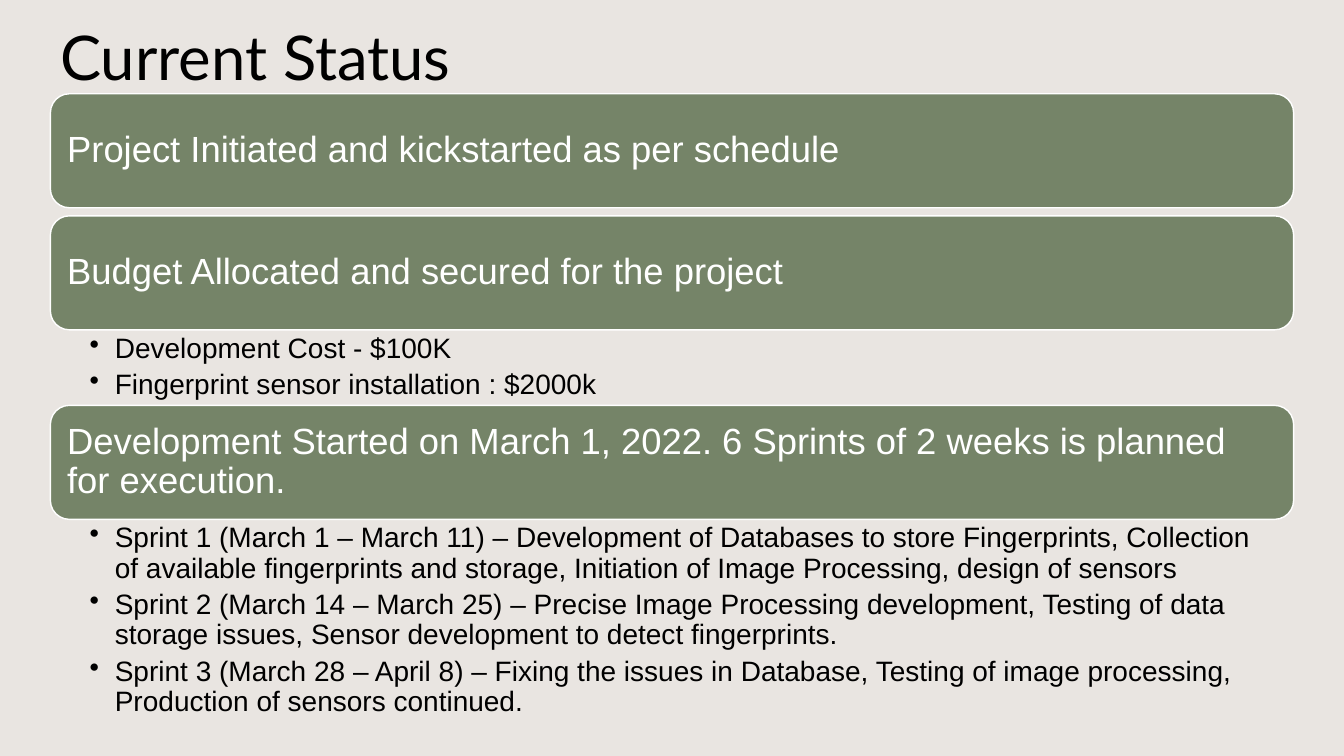
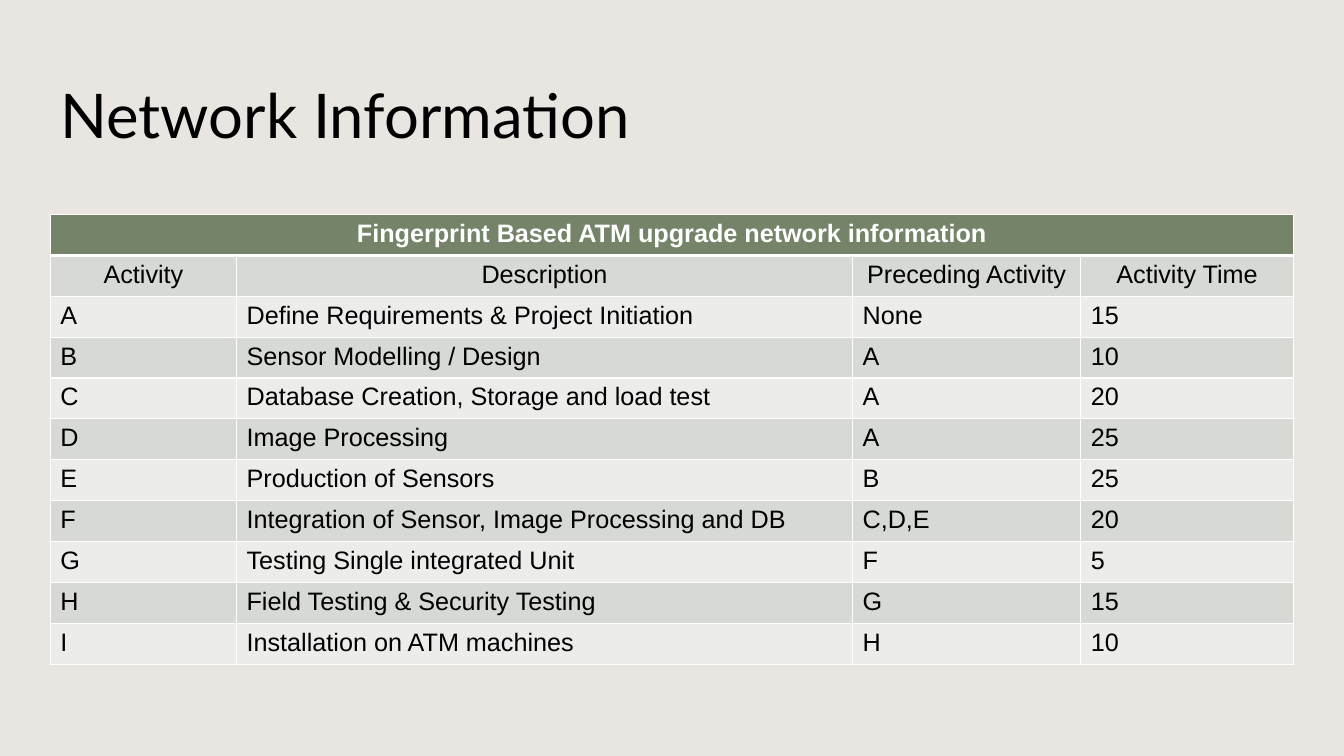
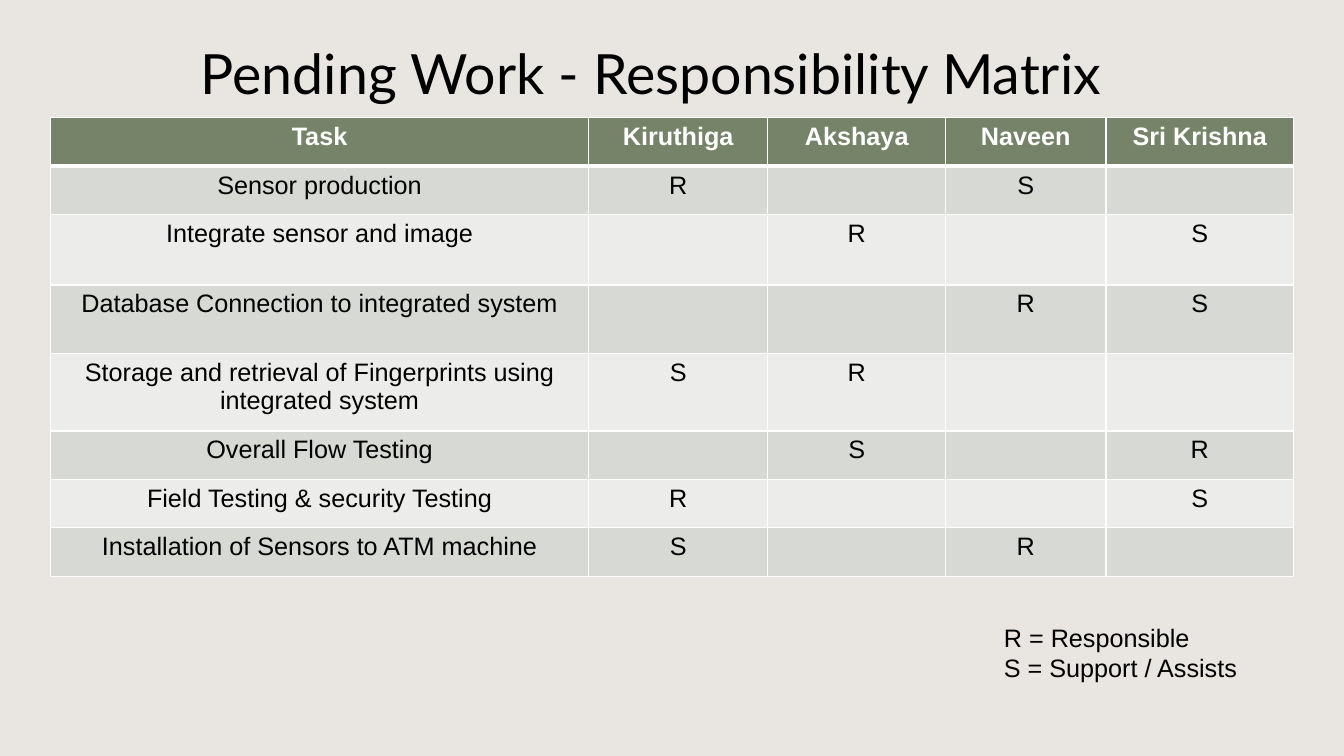
from lxml.etree import SubElement
from pptx import Presentation
from pptx.dml.color import RGBColor
from pptx.enum.shapes import MSO_SHAPE
from pptx.enum.text import MSO_ANCHOR, PP_ALIGN
from pptx.oxml import parse_xml
from pptx.oxml.ns import nsdecls, qn
from pptx.util import Pt

COLORS = {
    "background": "E9E5E1",
    "green": "758468",
    "dark_row": "D6D9D4",
    "light_row": "ECEDEB",
    "white": "FFFFFF",
    "black": "000000",
}
LEFT, WIDTH = 36, 888
TITLE_WIDTH = 858
CARD_HEIGHT = 81.4


def color(name):
    return RGBColor.from_string(COLORS[name])


def set_attributes(target, values):
    for name, value in values.items():
        setattr(target, name, value)


class Deck:
    """Holds the shared style and the slide being filled."""

    def __init__(self):
        self.presentation = Presentation()
        self.presentation.slide_width = Pt(960)
        self.presentation.slide_height = Pt(540)
        self.slide = None
        fill = self.presentation.slide_master.background.fill
        fill.solid()
        fill.fore_color.rgb = color("background")

    def add_lines(self, frame, lines, size, ink="black", font="Arial", bold=False,
                  bullet=False, **paragraph_format):
        for index, line in enumerate(lines):
            paragraph = frame.paragraphs[0] if index == 0 else frame.add_paragraph()
            set_attributes(paragraph, paragraph_format)
            run = paragraph.add_run()
            run.text = line
            set_attributes(run.font, {"name": font, "size": Pt(size), "bold": bold})
            run.font.color.rgb = color(ink)
            if bullet:
                properties = paragraph._p.get_or_add_pPr()
                properties.set("marL", str(Pt(18)))
                properties.set("indent", str(Pt(-18)))
                SubElement(properties, qn("a:buChar"), char="•")

    def text_box(self, box, lines, size, frame_format=None, **text_format):
        shape = self.slide.shapes.add_textbox(*map(Pt, box))
        set_attributes(shape.text_frame, {"word_wrap": True, **(frame_format or {})})
        self.add_lines(shape.text_frame, lines, size, **text_format)

    def new_slide(self, title, top, height, size=44, alignment=PP_ALIGN.LEFT):
        layout = self.presentation.slide_layouts[6]
        self.slide = self.presentation.slides.add_slide(layout)
        self.text_box((LEFT, top, TITLE_WIDTH, height), [title], size,
                      {"vertical_anchor": MSO_ANCHOR.MIDDLE},
                      font="Lato", alignment=alignment, line_spacing=1.0)

    def card(self, top, text):
        shape = self.slide.shapes.add_shape(
            MSO_SHAPE.ROUNDED_RECTANGLE, Pt(LEFT), Pt(top), Pt(WIDTH), Pt(CARD_HEIGHT))
        shape.shadow.inherit = False
        shape.fill.solid()
        shape.fill.fore_color.rgb = color("green")
        shape.line.color.rgb = color("white")
        shape.line.width = Pt(1)
        set_attributes(shape.text_frame, {
            "word_wrap": True, "vertical_anchor": MSO_ANCHOR.MIDDLE,
            "margin_left": Pt(8), "margin_right": Pt(8)})
        self.add_lines(shape.text_frame, [text], 26, ink="white",
                       alignment=PP_ALIGN.LEFT, line_spacing=0.9)

    def bullets(self, top, height, lines):
        margins = {"margin_left": Pt(28), "margin_right": Pt(14),
                   "margin_top": Pt(3), "margin_bottom": Pt(3)}
        self.text_box((LEFT, top, WIDTH, height), lines, 20, margins,
                      bullet=True, line_spacing=0.9, space_after=Pt(4.6))

    def borders(self, cell, row):
        widths = {"lnL": 1, "lnR": 1, "lnT": 3 if row == 1 else 1,
                  "lnB": 3 if row == 0 else 1}
        properties = cell._tc.get_or_add_tcPr()
        for position, (tag, width) in enumerate(widths.items()):
            properties.insert(position, parse_xml(
                f'<a:{tag} {nsdecls("a")} w="{Pt(width)}"><a:solidFill>'
                f'<a:srgbClr val="{COLORS["white"]}"/></a:solidFill></a:{tag}>'))

    def table(self, top, columns, heights, rows, centred_rows):
        table = self.slide.shapes.add_table(
            len(rows), len(columns), Pt(LEFT), Pt(top), Pt(WIDTH), Pt(sum(heights))).table
        for column, width in zip(table.columns, columns):
            column.width = Pt(width)
        for index, (row, height, texts) in enumerate(zip(table.rows, heights, rows)):
            row.height = Pt(height)
            header = index == 0
            fill_name = "green" if header else "dark_row" if index % 2 else "light_row"
            for cell, text in zip(row.cells, texts):
                cell.fill.solid()
                cell.fill.fore_color.rgb = color(fill_name)
                self.borders(cell, index)
                if text:
                    self.add_lines(cell.text_frame, [text], 18, bold=header,
                                   ink="white" if header else "black",
                                   alignment=PP_ALIGN.CENTER if index < centred_rows
                                   else PP_ALIGN.LEFT)
        return table


def status_slide(deck):
    deck.new_slide("Current Status", -12, 104)
    # Milestones, each followed by its details
    deck.card(67, "Project Initiated and kickstarted as per schedule")
    deck.card(154.2, "Budget Allocated and secured for the project")
    deck.bullets(235.6, 54, [
        "Development Cost - $100K",
        "Fingerprint sensor installation : $2000k",
    ])
    deck.card(289.6, "Development Started on March 1, 2022. 6 Sprints of 2 weeks "
                     "is planned for execution.")
    deck.bullets(371, 148, [
        "Sprint 1 (March 1 – March 11) – Development of Databases to store Fingerprints, "
        "Collection of available fingerprints and storage, Initiation of Image Processing, "
        "design of sensors",
        "Sprint 2 (March 14 – March 25) – Precise Image Processing development, "
        "Testing of data storage issues, Sensor development to detect fingerprints.",
        "Sprint 3 (March 28 – April 8) – Fixing the issues in Database, "
        "Testing of image processing, Production of sensors continued.",
    ])


def network_slide(deck):
    deck.new_slide("Network Information", 29, 104)
    # Activities and their order
    rows = [
        ("Fingerprint Based ATM upgrade network information", "", "", ""),
        ("Activity", "Description", "Preceding Activity", "Activity Time"),
        ("A", "Define Requirements & Project Initiation", "None", "15"),
        ("B", "Sensor Modelling / Design", "A", "10"),
        ("C", "Database Creation, Storage and load test", "A", "20"),
        ("D", "Image Processing", "A", "25"),
        ("E", "Production of Sensors", "B", "25"),
        ("F", "Integration of Sensor, Image Processing and DB", "C,D,E", "20"),
        ("G", "Testing Single integrated Unit", "F", "5"),
        ("H", "Field Testing & Security Testing", "G", "15"),
        ("I", "Installation on ATM machines", "H", "10"),
    ]
    table = deck.table(153.2, [133, 440, 163, 152], [29.2] * len(rows), rows, 2)
    table.cell(0, 0).merge(table.cell(0, 3))


def responsibility_slide(deck):
    deck.new_slide("Pending Work - Responsibility Matrix", 29, 45, 39.6, PP_ALIGN.CENTER)
    # Who does what
    rows = [
        ("Task", "Kiruthiga", "Akshaya", "Naveen", "Sri Krishna"),
        ("Sensor production", "R", "", "S", ""),
        ("Integrate sensor and image", "", "R", "", "S"),
        ("Database Connection to integrated system", "", "", "R", "S"),
        ("Storage and retrieval of Fingerprints using integrated system", "S", "R", "", ""),
        ("Overall Flow Testing", "", "S", "", "R"),
        ("Field Testing & security Testing", "R", "", "", "S"),
        ("Installation of Sensors to ATM machine", "S", "", "R", ""),
    ]
    heights = [34.6, 34.6, 50.2, 49, 55.4, 34.6, 34.6, 34.6]
    deck.table(84.2, [384.5, 128, 127, 114.5, 134], heights, rows, len(rows))
    # Legend
    deck.text_box((710, 440.8, 193, 51), ["R = Responsible", "S = Support / Assists"], 18)


def main():
    deck = Deck()
    status_slide(deck)
    network_slide(deck)
    responsibility_slide(deck)
    deck.presentation.save("out.pptx")


if __name__ == "__main__":
    main()
